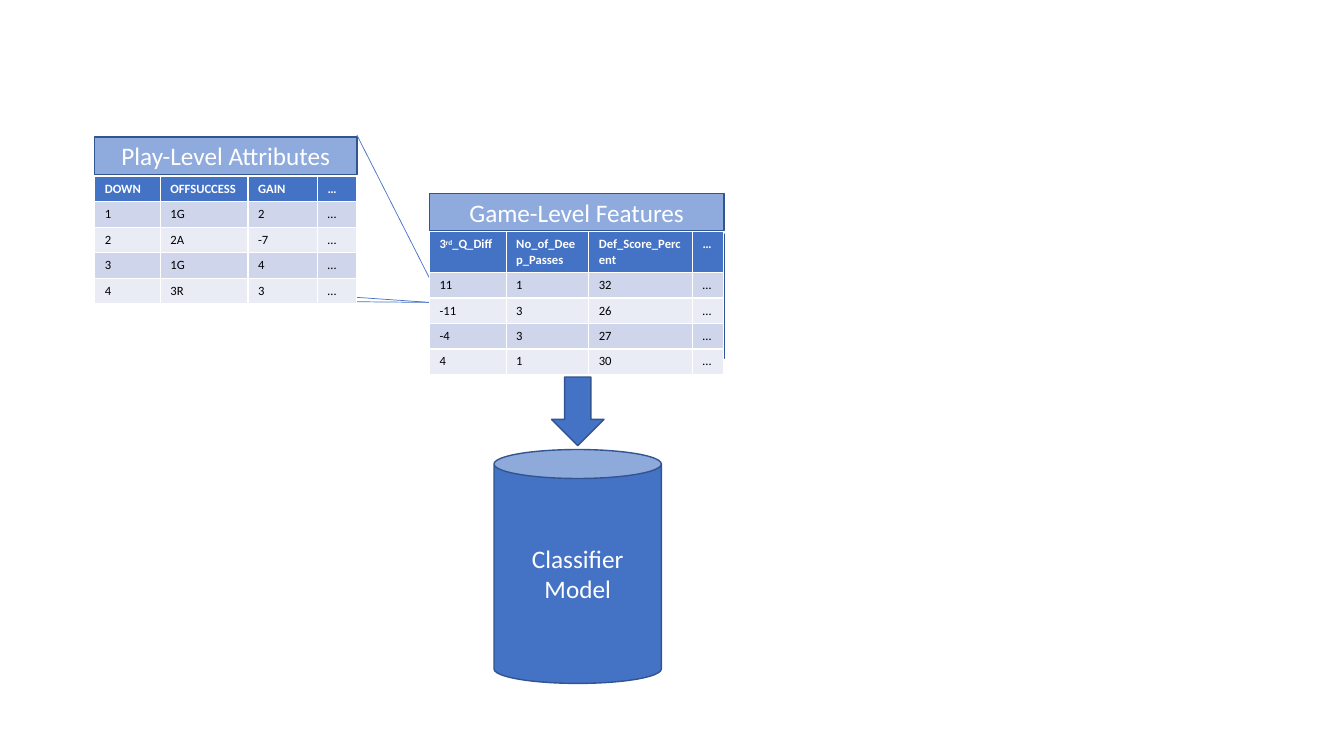
"""Build the slide showing play data feeding game features and a classifier."""
from lxml import etree
from pptx import Presentation
from pptx.dml.color import RGBColor
from pptx.enum import shapes, text
from pptx.oxml.ns import qn
from pptx.util import Inches, Pt

COLORS = {"main": "4472C4", "edge": "325491", "light": "8FAADC", "white": "FFFFFF",
          "black": "000000", "odd": "CFD5EA", "even": "E9EBF5"}
KIND = shapes.MSO_SHAPE
BLOCKS = [
    (KIND.RECTANGLE, (0.94, 1.36, 2.6, 0.37), "light", "Play-Level Attributes"),
    (KIND.RECTANGLE, (4.26, 2.32, 2.92, 1.24), "main", ""),
    (KIND.RECTANGLE, (4.26, 1.92, 2.92, 0.37), "light", "Game-Level Features"),
    (KIND.CAN, (4.9, 4.46, 1.66, 2.32), "main", "Classifier Model"),
    (KIND.DOWN_ARROW, (5.47, 3.74, 0.52, 0.68), "main", ""),
]
CAN_CAP = 0.173
ZOOM_LINES = [(3.54, 1.34, 4.26, 2.76), (3.54, 2.95, 4.26, 3), (0.94, 2.97, 4.26, 3)]
ROW_HEIGHT = 0.25
GAME_FEATURES = {
    "at": (4.26, 2.3), "columns": (0.76, 0.82, 1.03, 0.31), "header": 0.4,
    "rows": [(("3", "rd", "_Q_Diff"), "No_of_Deep_Passes", "Def_Score_Percent", "…"),
             ("11", "1", "32", "…"), ("-11", "3", "26", "…"),
             ("-4", "3", "27", "…"), ("4", "1", "30", "…")],
}
PLAY_ATTRIBUTES = {
    "at": (0.94, 1.75), "columns": (0.65, 0.87, 0.69, 0.39), "header": ROW_HEIGHT,
    "rows": [("DOWN", "OFFSUCCESS", "GAIN", "…"), ("1", "1G", "2", "…"),
             ("2", "2A", "-7", "…"), ("3", "1G", "4", "…"), ("4", "3R", "3", "…")],
}


def rgb(name):
    return RGBColor.from_string(COLORS[name])


def write(paragraph, words, color, **formats):
    run = paragraph.add_run()
    run.text = words
    run.font.color.rgb = rgb(color)
    for key, value in {"name": "Calibri", **formats}.items():
        setattr(run.font, key, value)
    return run


def add_block(slide, kind, box, fill, label):
    block = slide.shapes.add_shape(kind, *map(Inches, box))
    block.shadow.inherit = False
    block.fill.solid()
    block.fill.fore_color.rgb = rgb(fill)
    block.line.color.rgb = rgb("edge")
    block.line.width = Pt(1)
    if kind == KIND.CAN:
        block.adjustments[0] = CAN_CAP
    if label:
        block.text_frame.vertical_anchor = text.MSO_ANCHOR.MIDDLE
        paragraph = block.text_frame.paragraphs[0]
        paragraph.alignment = text.PP_ALIGN.CENTER
        write(paragraph, label, "white", size=Pt(18))


def add_zoom_line(slide, ends):
    line = slide.shapes.add_connector(shapes.MSO_CONNECTOR.STRAIGHT, *map(Inches, ends))
    line.line.color.rgb = rgb("main")
    line.line.width = Pt(0.5)
    etree.SubElement(line._element.spPr, qn("a:effectLst"))


def add_grid(slide, data):
    rows, widths = data["rows"], data["columns"]
    heights = [data["header"]] + [ROW_HEIGHT] * (len(rows) - 1)
    size = (sum(widths), sum(heights))
    grid = slide.shapes.add_table(len(rows), len(widths),
                                  *map(Inches, data["at"] + size)).table
    for column, width in zip(grid.columns, widths):
        column.width = Inches(width)
    for r, (values, height) in enumerate(zip(rows, heights)):
        grid.rows[r].height = Inches(height)
        fill = "main" if r == 0 else "odd" if r % 2 else "even"
        for c, value in enumerate(values):
            cell = grid.cell(r, c)
            cell.fill.solid()
            cell.fill.fore_color.rgb = rgb(fill)
            for part in (value,) if isinstance(value, str) else value:
                run = write(cell.text_frame.paragraphs[0], part,
                            "black" if r else "white", size=Pt(9), bold=r == 0)
                if part == "rd":
                    run._r.get_or_add_rPr().set("baseline", "30000")


deck = Presentation()
deck.slide_width, deck.slide_height = Inches(13.33), Inches(7.5)
slide = deck.slides.add_slide(deck.slide_layouts.get_by_name("Blank"))
for block in BLOCKS:
    add_block(slide, *block)
for ends in ZOOM_LINES:
    add_zoom_line(slide, ends)
for data in (GAME_FEATURES, PLAY_ATTRIBUTES):
    add_grid(slide, data)
deck.save("out.pptx")
